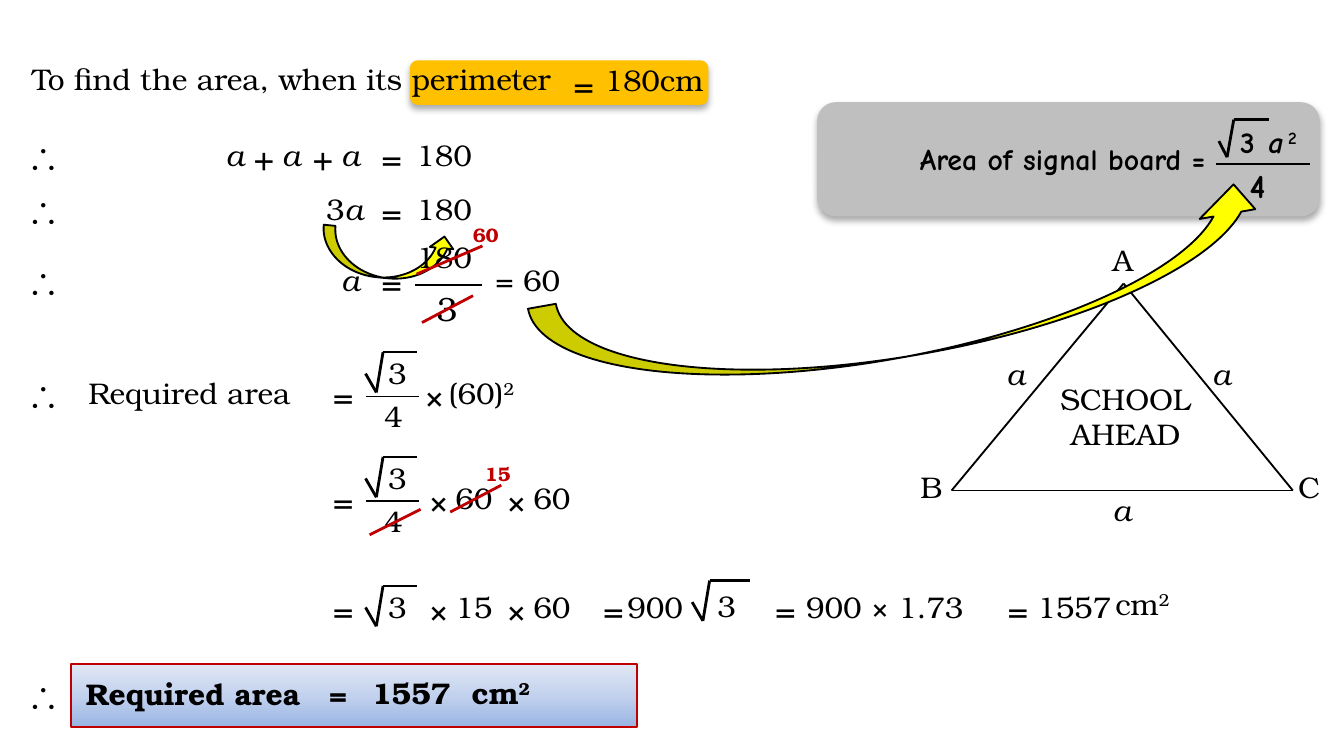
from copy import deepcopy
from dataclasses import dataclass

from lxml import etree
from pptx import Presentation
from pptx.dml.color import RGBColor
from pptx.enum.dml import MSO_THEME_COLOR
from pptx.enum.shapes import MSO_CONNECTOR, MSO_SHAPE
from pptx.enum.text import MSO_AUTO_SIZE, PP_ALIGN
from pptx.oxml import parse_xml
from pptx.oxml.ns import nsdecls, qn
from pptx.util import Inches, Pt

LEFT, CENTER, RIGHT, JUSTIFY = PP_ALIGN.LEFT, PP_ALIGN.CENTER, PP_ALIGN.RIGHT, PP_ALIGN.JUSTIFY
STRAIGHT = MSO_CONNECTOR.STRAIGHT
ROUNDED, RECTANGLE = MSO_SHAPE.ROUNDED_RECTANGLE, MSO_SHAPE.RECTANGLE
CURVED_ARROW = MSO_SHAPE.CURVED_UP_ARROW
ACCENT = MSO_THEME_COLOR.ACCENT_1

SERIF, COMIC, SYMBOL = "TeX Gyre Bonum", "Comic Neue", "Arial"
BLACK, RED, YELLOW, ORANGE, GREY = "000000", "C00000", "FFFF00", "FFC000", "BFBFBF"
HEIGHTS = {10.5: 0.28, 16: 0.37, 18: 0.4}
WIDTHS = {"=": 0.35, "+": 0.35, "×": 0.35, "180": 0.62, "900": 0.62, "60": 0.48, "15": 0.48,
          "B": 0.37, "C": 0.37, "A": 0.35, "= 60": 0.69, "180cm": 0.95, "1557": 0.76,
          "Required area": 1.73, "900 × 1.73": 1.38}


@dataclass
class Span:
    text: str
    size: float = 16
    italic: bool = False
    raised: bool = False


@dataclass
class Style:
    font: str = SERIF
    color: str = BLACK
    bold: bool = False
    align: PP_ALIGN = LEFT
    wrap: bool = False


PLAIN = Style()
BOLD = Style(bold=True)
NOTE = Style(color=RED, bold=True)
FORMULA = Style(font=COMIC, bold=True)
SQUARED = Span("2", raised=True)


def rgb(value: str) -> RGBColor:
    return RGBColor.from_string(value)


def add_text(shapes, left: float, top: float, width: float,
             lines: list[list[Span]], style: Style = PLAIN) -> None:
    """Write one paragraph for each list of spans."""
    height = HEIGHTS[lines[0][0].size] + 0.27 * (len(lines) - 1)
    box = shapes.add_textbox(Inches(left), Inches(top), Inches(width), Inches(height))
    frame = box.text_frame
    frame.word_wrap = style.wrap
    frame.auto_size = MSO_AUTO_SIZE.SHAPE_TO_FIT_TEXT
    for index, spans in enumerate(lines):
        para = frame.add_paragraph() if index else frame.paragraphs[0]
        para.alignment = style.align
        for span in spans:
            run = para.add_run()
            run.text = span.text
            run.font.name, run.font.size = style.font, Pt(span.size)
            run.font.bold, run.font.italic = style.bold, span.italic
            run.font.color.rgb = rgb(style.color)
            if span.raised:
                run.font._element.set("baseline", "30000")


def add_term(shapes, left: float, top: float, text: str, style: Style = PLAIN) -> None:
    """Write one number, variable or operator; operators are larger, variables italic."""
    span = Span(text, 18 if text in "=+×" else 16, text == "a")
    add_text(shapes, left, top, WIDTHS.get(text, 0.34), [[span]], style)


def add_line(shapes, start: tuple[float, float], end: tuple[float, float],
             color: str = BLACK, weight: float = 1) -> None:
    points = [Inches(value) for value in (*start, *end)]
    line = shapes.add_connector(STRAIGHT, *points)
    line.line.color.rgb = rgb(color)
    line.line.width = Pt(weight)
    etree.SubElement(line._element.spPr, qn("a:effectLst"))


def add_root(shapes, left: float, top: float, width: float = 0.38, foot: float = 0.08,
             depth: float = 0.3, digit: tuple[float, float] = (0.07, -0.03),
             style: Style = PLAIN) -> None:
    """Draw the square root of three."""
    corners = [(left, top + 0.16), (left + foot, top + depth),
               (left + foot + 0.05, top), (left + width, top)]
    for start, end in zip(corners, corners[1:]):
        add_line(shapes, start, end, weight=1.5)
    add_term(shapes, left + digit[0], top + digit[1], "3", style)


def add_box(shapes, kind: MSO_SHAPE, left: float, top: float, width: float, height: float,
            fill: str, outline: str = "", turn: float = 0):
    box = shapes.add_shape(kind, Inches(left), Inches(top), Inches(width), Inches(height))
    box.shadow.inherit = False
    box.rotation = turn
    box.fill.solid()
    box.fill.fore_color.rgb = rgb(fill)
    if outline:
        box.line.color.rgb = rgb(outline)
        box.line.width = Pt(1)
    else:
        box.line.fill.background()
    return box


def add_shadow(box) -> None:
    shadow = parse_xml(
        f'<a:outerShdw {nsdecls("a")} blurRad="{Pt(3.5)}" dist="{Pt(2.2)}" dir="5400000" '
        f'rotWithShape="0"><a:srgbClr val="{BLACK}"><a:alpha val="32000"/></a:srgbClr></a:outerShdw>')
    box._element.spPr.find(qn("a:effectLst")).append(shadow)


def shade_upwards(box, bottom: str, middle: str, top: str) -> None:
    box.fill.gradient()
    box.fill.gradient_angle = 90
    first = box._element.spPr.find(".//" + qn("a:gs"))
    first.addnext(deepcopy(first))
    for stop, color, position in zip(box.fill.gradient_stops, (bottom, middle, top), (0, 0.5, 1)):
        stop.color.theme_color = ACCENT
        stop.color.rgb = rgb(color)
        stop.position = position


def add_question(shapes) -> None:
    add_shadow(add_box(shapes, ROUNDED, 3.05, 0.45, 2.22, 0.33, ORANGE))
    add_text(shapes, 0.14, 0.4, 4.61, [[Span("To find the area, when its perimeter")]],
             Style(align=JUSTIFY, wrap=True))
    add_term(shapes, 4.17, 0.43, "=")
    add_term(shapes, 4.4, 0.41, "180cm")


def add_working(shapes) -> None:
    rows = {
        0.97: [(1.58, "a"), (1.79, "+"), (2, "a"), (2.23, "+"), (2.44, "a"), (2.74, "="), (3, "180")],
        1.37: [(2.74, "="), (3, "180")],
        1.9: [(2.44, "a"), (2.74, "="), (3.59, "= 60")],
        2.74: [(0.56, "Required area"), (2.38, "="), (3.06, "×")],
        3.52: [(2.38, "="), (3.09, "×"), (3.29, "60"), (3.67, "×"), (3.87, "60")],
        4.33: [(2.38, "="), (3.09, "×"), (3.29, "15"), (3.67, "×"), (3.87, "60"), (4.39, "="),
               (4.57, "900"), (5.67, "="), (5.9, "900 × 1.73"), (7.4, "="), (7.62, "1557")],
    }
    for top, terms in rows.items():
        for left, text in terms:
            add_term(shapes, left, top, text)
    for top in (0.97, 1.37, 1.9, 2.74, 4.98):
        add_text(shapes, 0.1, top, 0.4, [[Span("∴", 18)]], Style(font=SYMBOL))
    add_text(shapes, 2.32, 1.37, 0.48, [[Span("3"), Span("a", italic=True)]], Style(align=RIGHT))
    add_text(shapes, 3.24, 2.74, 0.71, [[Span("(60)"), SQUARED]])
    add_text(shapes, 8.2, 4.31, 0.62, [[Span("cm"), SQUARED]])

    add_term(shapes, 3, 1.73, "180")
    add_line(shapes, (3.09, 2.12), (3.59, 2.12))
    add_text(shapes, 3.15, 2.09, 0.37, [[Span("3", 18)]])
    for top in (2.62, 3.4):
        add_root(shapes, 2.72, top)
        add_line(shapes, (2.72, top + 0.33), (3.12, top + 0.33))
        add_term(shapes, 2.76, top + 0.29, "4")
    add_root(shapes, 2.72, 4.36)
    add_root(shapes, 5.15, 4.32, width=0.43, digit=(0.09, 0))

    strokes = [((3.59, 1.83), (3.1, 2.04)), ((3.52, 2.2), (3.14, 2.4)),
               ((3.73, 3.61), (3.35, 3.81)), ((3.13, 3.79), (2.75, 3.98))]
    for start, end in strokes:
        add_line(shapes, start, end, RED, 1.5)
    for left, top, text in ((3.42, 1.61, "60"), (3.51, 3.39, "15")):
        add_text(shapes, left, top, 0.39, [[Span(text, 10.5)]], NOTE)


def add_sign(shapes) -> None:
    apex, left_corner, right_corner = (8.36, 2.11), (7.08, 3.65), (9.62, 3.65)
    for start, end in ((apex, right_corner), (left_corner, apex), (left_corner, right_corner)):
        add_line(shapes, start, end)
    for left, top, text in ((8.18, 3.61, "a"), (8.92, 2.6, "a"), (7.39, 2.6, "a"),
                            (6.75, 3.44, "B"), (9.56, 3.44, "C"), (8.18, 1.75, "A")):
        add_term(shapes, left, top, text)
    add_text(shapes, 7.78, 2.78, 1.19, [[Span("SCHOOL")], [Span("AHEAD")]], Style(align=CENTER))


def add_formula(shapes) -> None:
    add_text(shapes, 6.37, 1, 2.7, [[Span("Area of signal board =")]],
             Style(font=COMIC, bold=True, align=RIGHT))
    add_root(shapes, 9.07, 0.89, 0.37, 0.06, 0.28, (0.06, -0.02), FORMULA)
    add_text(shapes, 9.34, 0.87, 0.46, [[Span("a", italic=True), Span(" ", 7, True), SQUARED]], FORMULA)
    add_line(shapes, (9.05, 1.22), (9.75, 1.22))
    add_text(shapes, 9.2, 1.18, 0.37, [[Span("4", 18)]], FORMULA)


def add_answer(shapes) -> None:
    shade_upwards(add_box(shapes, RECTANGLE, 0.53, 4.94, 4.21, 0.47, "C2D1ED", RED),
                  "9AB5E4", "C2D1ED", "E1E8F5")
    for left, top, width, spans in ((0.54, 4.98, 1.8, [Span("Required area")]),
                                    (2.35, 4.98, 0.35, [Span("=")]),
                                    (2.67, 4.97, 0.8, [Span("1557")]),
                                    (3.41, 4.97, 0.65, [Span("cm"), SQUARED])):
        add_text(shapes, left, top, width, [spans], BOLD)


def main() -> None:
    deck = Presentation()
    deck.slide_width = Inches(10)
    deck.slide_height = deck.slide_width * 9 // 16
    page = deck.slides.add_slide(deck.slide_layouts[6])
    shapes = page.shapes
    add_shadow(add_box(shapes, ROUNDED, 6.08, 0.76, 3.74, 0.85, GREY))
    add_box(shapes, CURVED_ARROW, 2.39, 1.72, 0.99, 0.35, YELLOW, BLACK, 5.6)
    add_question(shapes)
    add_answer(shapes)
    add_working(shapes)
    add_sign(shapes)
    add_formula(shapes.add_group_shape().shapes)
    add_box(shapes, CURVED_ARROW, 3.96, 1.81, 5.54, 0.84, YELLOW, BLACK, 350)
    deck.save("out.pptx")


if __name__ == "__main__":
    main()
